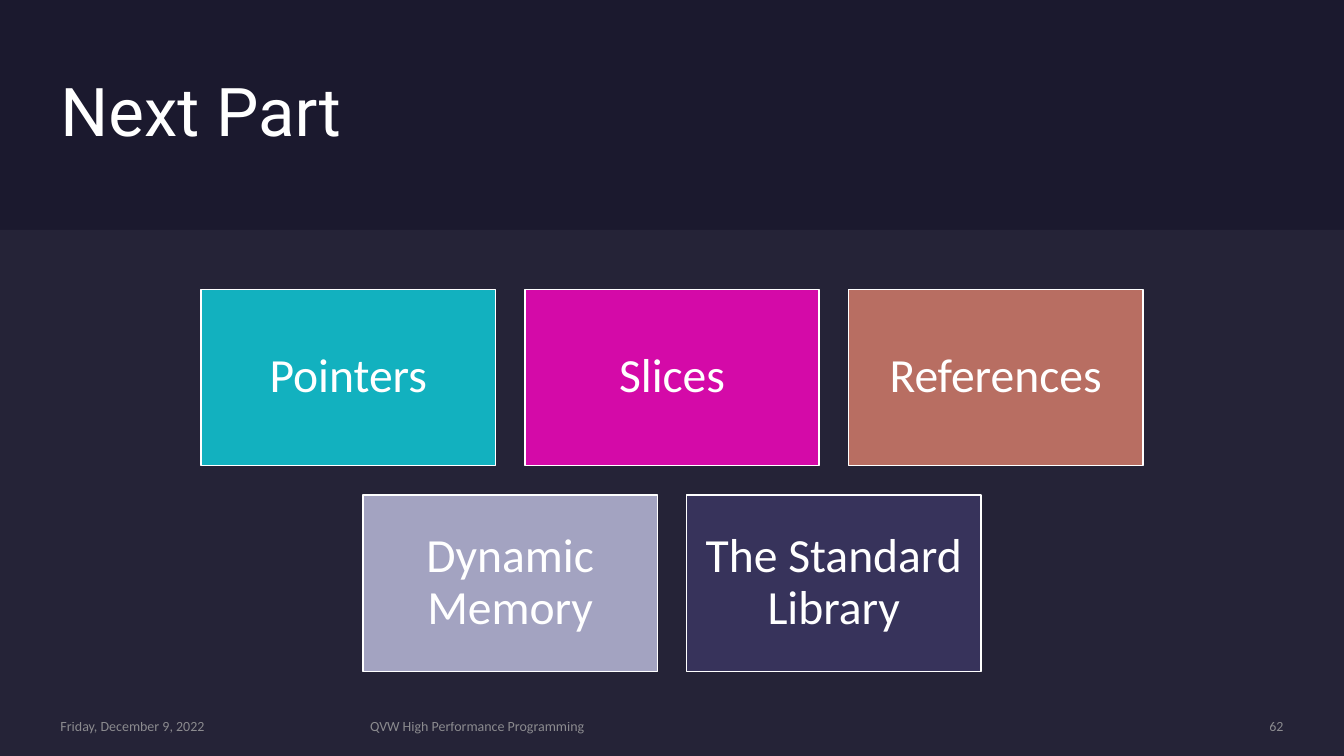
import pptx
import pptx.dml.color
import pptx.enum.shapes
import pptx.enum.text
import pptx.oxml
import pptx.oxml.ns
import pptx.util

Inches = pptx.util.Inches
Align = pptx.enum.text.PP_ALIGN
RECTANGLE = pptx.enum.shapes.MSO_SHAPE.RECTANGLE

SLIDE_WIDTH, SLIDE_HEIGHT = 13.33, 7.5
HEADING = "Next Part"
TOPIC_ROWS = [
    [("Pointers", "12B1BF"), ("Slices", "D40AA8"), ("References", "B86E62")],
    [("Dynamic Memory", "A3A3C1"), ("The Standard Library", "37335B")],
]
FOOTERS = [
    ("Friday, December 9, 2022", 0.6, 2.88, Align.LEFT),
    ("QVW High Performance Programming", 3.67, 6.98, Align.LEFT),
    ("62", 10.88, 1.85, Align.RIGHT),
]
CARD_WIDTH, CARD_HEIGHT, CARD_GAP, CARDS_TOP = 2.92, 1.75, 0.29, 2.87
PANEL_TOP = 2.28
FOOTER_TOP, FOOTER_HEIGHT = 7.12, 0.17

HEADING_FORMAT = {"name": "Roboto", "size": pptx.util.Pt(48)}
CARD_FORMAT = {"name": "Calibri", "size": pptx.util.Pt(34)}
FOOTER_FORMAT = {"name": "Calibri", "size": pptx.util.Pt(10)}


def paint(color_format, color, opacity=100):
    color_format.solid()
    color_format.fore_color.rgb = pptx.dml.color.RGBColor.from_string(color)
    if opacity < 100:
        for rgb in color_format._xPr.iter(pptx.oxml.ns.qn("a:srgbClr")):
            alpha = pptx.oxml.parse_xml(
                f'<a:alpha {pptx.oxml.ns.nsdecls("a")} val="{opacity * 1000}"/>'
            )
            rgb.append(alpha)


def write(frame, wording, font_format, color, alignment, inset=0, spacing=1.0, opacity=100):
    frame_format = {
        "word_wrap": True,
        "auto_size": pptx.enum.text.MSO_AUTO_SIZE.NONE,
        "vertical_anchor": pptx.enum.text.MSO_ANCHOR.MIDDLE,
    }
    for side in ("left", "top", "right", "bottom"):
        frame_format[f"margin_{side}"] = Inches(inset)
    for attribute, value in frame_format.items():
        setattr(frame, attribute, value)
    line = frame.paragraphs[0]
    line.alignment = alignment
    line.line_spacing = spacing
    run = line.add_run()
    run.text = wording
    for attribute, value in font_format.items():
        setattr(run.font, attribute, value)
    paint(run.font.fill, color, opacity)


def add_block(slide, left, top, width, height, color, opacity=100):
    block = slide.shapes.add_shape(
        RECTANGLE, Inches(left), Inches(top), Inches(width), Inches(height)
    )
    block.shadow.inherit = False
    paint(block.fill, color, opacity)
    block.line.fill.background()
    return block


def main():
    deck = pptx.Presentation()
    deck.slide_width = Inches(SLIDE_WIDTH)
    deck.slide_height = Inches(SLIDE_HEIGHT)
    slide = deck.slides.add_slide(deck.slide_layouts[5])
    paint(slide.background.fill, "1B192E")

    heading = slide.shapes.title
    place = {"left": 0.6, "top": 0.6, "width": 7.99, "height": 1.08}
    for attribute, value in place.items():
        setattr(heading, attribute, Inches(value))
    write(heading.text_frame, HEADING, HEADING_FORMAT, "FFFFFF", Align.LEFT, spacing=0.9)

    add_block(slide, 0, PANEL_TOP, SLIDE_WIDTH, SLIDE_HEIGHT - PANEL_TOP, "E4E3F0", 5)

    for wording, left, width, alignment in FOOTERS:
        footer = slide.shapes.add_textbox(
            Inches(left), Inches(FOOTER_TOP), Inches(width), Inches(FOOTER_HEIGHT)
        )
        write(footer.text_frame, wording, FOOTER_FORMAT, "A6A6A6", alignment, opacity=80)

    for row, topics in enumerate(TOPIC_ROWS):
        row_width = len(topics) * (CARD_WIDTH + CARD_GAP) - CARD_GAP
        row_left = (SLIDE_WIDTH - row_width) / 2
        top = CARDS_TOP + row * (CARD_HEIGHT + CARD_GAP)
        for column, (topic, color) in enumerate(topics):
            left = row_left + column * (CARD_WIDTH + CARD_GAP)
            card = add_block(slide, left, top, CARD_WIDTH, CARD_HEIGHT, color)
            paint(card.line.fill, "FFFFFF")
            card.line.width = pptx.util.Pt(1)
            write(card.text_frame, topic, CARD_FORMAT, "FFFFFF", Align.CENTER, 0.14, 0.9)

    deck.save("out.pptx")


if __name__ == "__main__":
    main()
